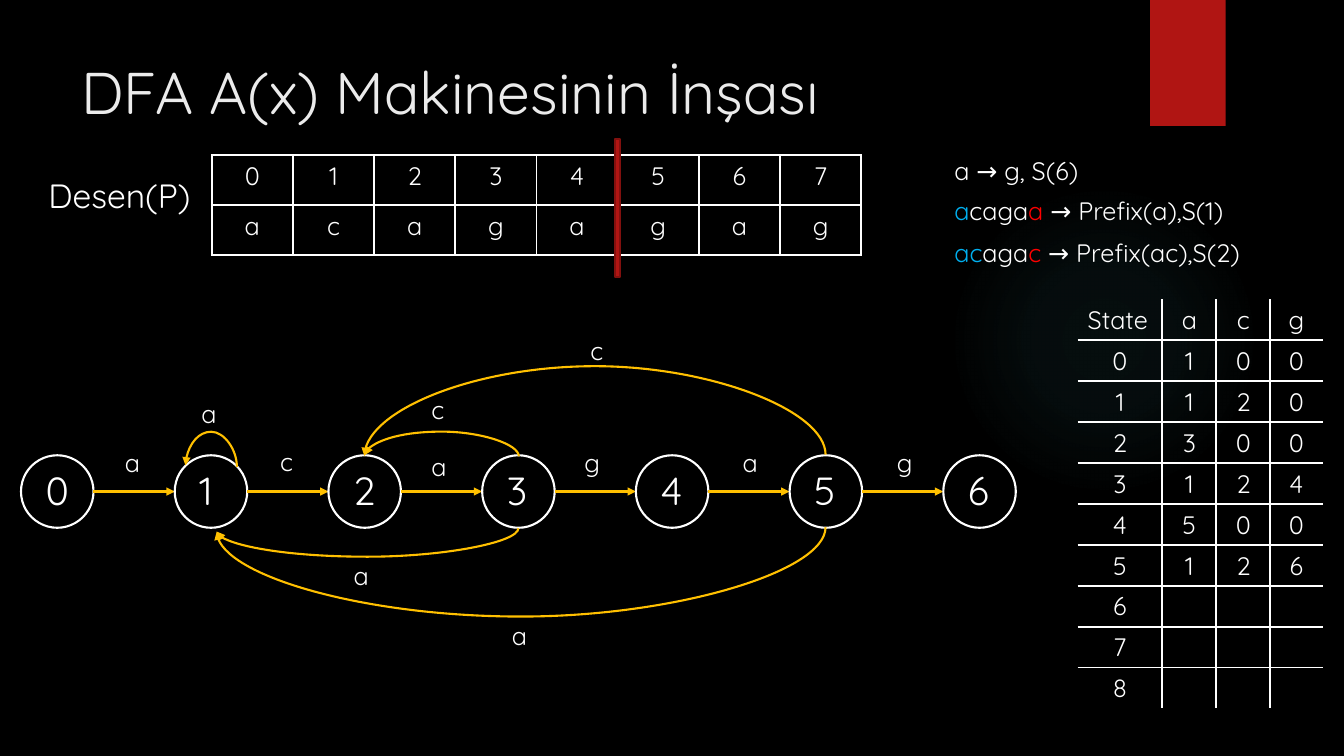
from lxml.etree import SubElement
from pptx import Presentation
from pptx.dml.color import RGBColor
from pptx.enum.shapes import MSO_CONNECTOR as Link, MSO_SHAPE as Preset
from pptx.enum.text import MSO_AUTO_SIZE as AutoSize, PP_ALIGN as Align
from pptx.oxml import parse_xml
from pptx.oxml.ns import nsdecls, qn
from pptx.util import Pt

COLORS = {
    "black": "000000", "white": "FFFFFF", "title": "EBEBEB",
    "ribbon": "B01513", "ribbon_edge": "82100E", "glow": "50B9C1",
    "arrow": "FFC000", "prefix": "00B0F0", "mismatch": "FF0000",
}
FONT = "Quicksand"
STROKE = 1.5


def rgb(name):
    return RGBColor.from_string(COLORS[name])


def write(frame, text, size=18, color="white", align=Align.LEFT):
    parts = [(text, color)] if isinstance(text, str) else text
    paragraph = frame.paragraphs[0]
    paragraph.alignment = align
    for words, tint in parts:
        run = paragraph.add_run()
        run.text = words
        run.font.name = FONT
        run.font.size = Pt(size)
        run.font.color.rgb = rgb(tint)


class Board:
    def __init__(self, slide):
        self.slide = slide
        self.shapes = slide.shapes
        slide.background.fill.solid()
        slide.background.fill.fore_color.rgb = rgb("black")

    def shape(self, preset, left, top, width, height, fill=None, line=None):
        shape = self.shapes.add_shape(preset, Pt(left), Pt(top), Pt(width), Pt(height))
        shape.shadow.inherit = False
        if fill:
            shape.fill.solid()
            shape.fill.fore_color.rgb = rgb(fill)
        else:
            shape.fill.background()
        if line:
            shape.line.color.rgb = rgb(line)
            shape.line.width = Pt(STROKE)
        else:
            shape.line.fill.background()
        return shape

    def glow(self, left, top, size):
        halo = self.shape(Preset.OVAL, left, top, size, size)
        stops = "".join(
            f'<a:gs pos="{place * 1000}"><a:srgbClr val="{COLORS["glow"]}">'
            f'<a:alpha val="{alpha * 1000}"/></a:srgbClr></a:gs>'
            for place, alpha in ((0, 7), (36, 6), (69, 0), (100, 0)))
        gradient = parse_xml(
            f'<a:gradFill {nsdecls("a")}><a:gsLst>{stops}</a:gsLst><a:path path="circle">'
            '<a:fillToRect l="50000" t="50000" r="50000" b="50000"/></a:path></a:gradFill>')
        properties = halo._element.spPr
        properties.replace(properties.find(qn("a:noFill")), gradient)

    def text(self, text, left, top, width=26.6, height=29, wrap=False, **style):
        box = self.shapes.add_textbox(Pt(left), Pt(top), Pt(width), Pt(height))
        frame = box.text_frame
        frame.word_wrap = wrap
        frame.auto_size = AutoSize.NONE if wrap else AutoSize.SHAPE_TO_FIT_TEXT
        write(frame, text, **style)

    def link(self, kind, start, end):
        link = self.shapes.add_connector(kind, *map(Pt, (*start, *end)))
        link.line.color.rgb = rgb("arrow")
        link.line.width = Pt(STROKE)
        properties = link._element.spPr
        SubElement(properties.find(qn("a:ln")), qn("a:tailEnd"), type="triangle")
        SubElement(properties, qn("a:effectLst"))
        return properties

    def arc(self, start, end, peak):
        (x1, y1), (x2, y2) = start, end
        span, drop = abs(x2 - x1), abs(y2 - y1)
        left, top = (x1 + x2 - drop) / 2, (y1 + y2 - span) / 2
        properties = self.link(Link.CURVE, (left, top), (left + drop, top + span))
        frame = properties.find(qn("a:xfrm"))
        upward = peak < y1
        frame.set("rot", str((270 if upward else 90) * 60000))
        if upward:
            frame.set("flipV", "1")
            if y2 > y1:
                frame.set("flipH", "1")
        bend = round((peak - y1) / (y2 - y1) * 100000)
        guides = properties.find(qn("a:prstGeom")).find(qn("a:avLst"))
        SubElement(guides, qn("a:gd"), name="adj1", fmla=f"val {bend}")

    def border(self, cell, sides):
        properties = cell._tc.get_or_add_tcPr()
        for order, side in enumerate("LRTB"):
            fill = (f'<a:solidFill><a:srgbClr val="{COLORS["white"]}"/></a:solidFill>'
                    if side in sides else "<a:noFill/>")
            edge = f'<a:ln{side} {nsdecls("a")} w="{Pt(STROKE)}">{fill}</a:ln{side}>'
            properties.insert(order, parse_xml(edge))

    def table(self, rows, left, top, widths, row_height, outline=True):
        last_row, last_column = len(rows) - 1, len(widths) - 1
        table = self.shapes.add_table(len(rows), len(widths), Pt(left), Pt(top),
                                      Pt(sum(widths)), Pt(row_height * len(rows))).table
        table.first_row = table.horz_banding = False
        for column, width in zip(table.columns, widths):
            column.width = Pt(width)
        for r, row in enumerate(rows):
            table.rows[r].height = Pt(row_height)
            for c, value in enumerate(row):
                cell = table.cell(r, c)
                cell.fill.background()
                inner = {"L": c > 0, "R": c < last_column, "T": r > 0, "B": r < last_row}
                self.border(cell, [side for side in inner if outline or inner[side]])
                align = Align.LEFT if value == "State" else Align.CENTER
                write(cell.text_frame, value, align=align)


def main():
    deck = Presentation()
    deck.slide_width, deck.slide_height = Pt(960), Pt(540)
    board = Board(deck.slides.add_slide(deck.slide_layouts[6]))

    board.glow(677.5, 131.8, 221.8)
    board.shape(Preset.RECTANGLE, 821.5, 0, 54, 90, fill="ribbon")
    board.text("DFA A(x) Makinesinin İnşası", 51, 36, 741, 110, wrap=True,
               size=42, color="title")

    board.text("Desen(P)", 27.4, 121.7, 121, 36, size=24)
    board.table(["01234567", "acagagag"], 151.2, 110.9, [58] * 8, 35.7)
    board.shape(Preset.RECTANGLE, 439.2, 99.4, 3.6, 98.6, fill="ribbon", line="ribbon_edge")

    notes = [
        (109.5, "a → g, S(6)", 107.3),
        ([("a", "prefix"), ("caga", "white"), ("a ", "mismatch"),
          ("→ Prefix(a),S(1)", "white")], 136.3, 225.4),
        ([("ac", "prefix"), ("aga", "white"), ("c ", "mismatch"),
          ("→ Prefix(ac),S(2)", "white")], 165.6, 236.2),
    ]
    first_width, first_note, first_top = notes[0]
    board.text(first_note, 674.6, first_top, first_width)
    for note, top, width in notes[1:]:
        board.text(note, 674.6, top, width)

    transitions = ["100", "120", "300", "124", "500", "126"] + [("", "", "")] * 3
    rows = [("State", "a", "c", "g")]
    rows += [(str(state), *targets) for state, targets in enumerate(transitions)]
    board.table(rows, 769.7, 213.8, [60.6, 38.6, 38.6, 37.3], 29.23, outline=False)

    diameter, pitch, first_left, state_top = 51.8, 109.8, 15, 325.2
    middle = state_top + diameter / 2
    for state in range(7):
        left = first_left + pitch * state
        board.shape(Preset.OVAL, left, state_top, diameter, diameter, line="white")
        board.text(str(state), left + 10.5, state_top + 4.7, 30.2, 41, size=28)
        if state < 6:
            board.link(Link.STRAIGHT, (left + diameter, middle), (left + pitch, middle))

    board.arc((169.2, 333.5), (132.5, 332.5), 308.2)
    board.arc((370.6, 326), (260.6, 325), 308.2)
    board.arc((589.7, 324.7), (260.3, 325.7), 261)
    board.arc((370.3, 377.3), (154.8, 379.7), 397.6)
    board.arc((589.7, 376.6), (154.8, 379.7), 440.6)

    labels = [
        ("a", 82.1, 316.1), ("c", 193, 315.4), ("a", 301, 319), ("g", 410.4, 316.1),
        ("a", 523.4, 316.1), ("g", 633.6, 316.1), ("a", 136.8, 280.8), ("c", 301, 277.9),
        ("c", 414.7, 236.2), ("a", 245.5, 396.7), ("a", 358.6, 439.2),
    ]
    for letter, left, top in labels:
        board.text(letter, left, top)

    deck.save("out.pptx")


if __name__ == "__main__":
    main()
